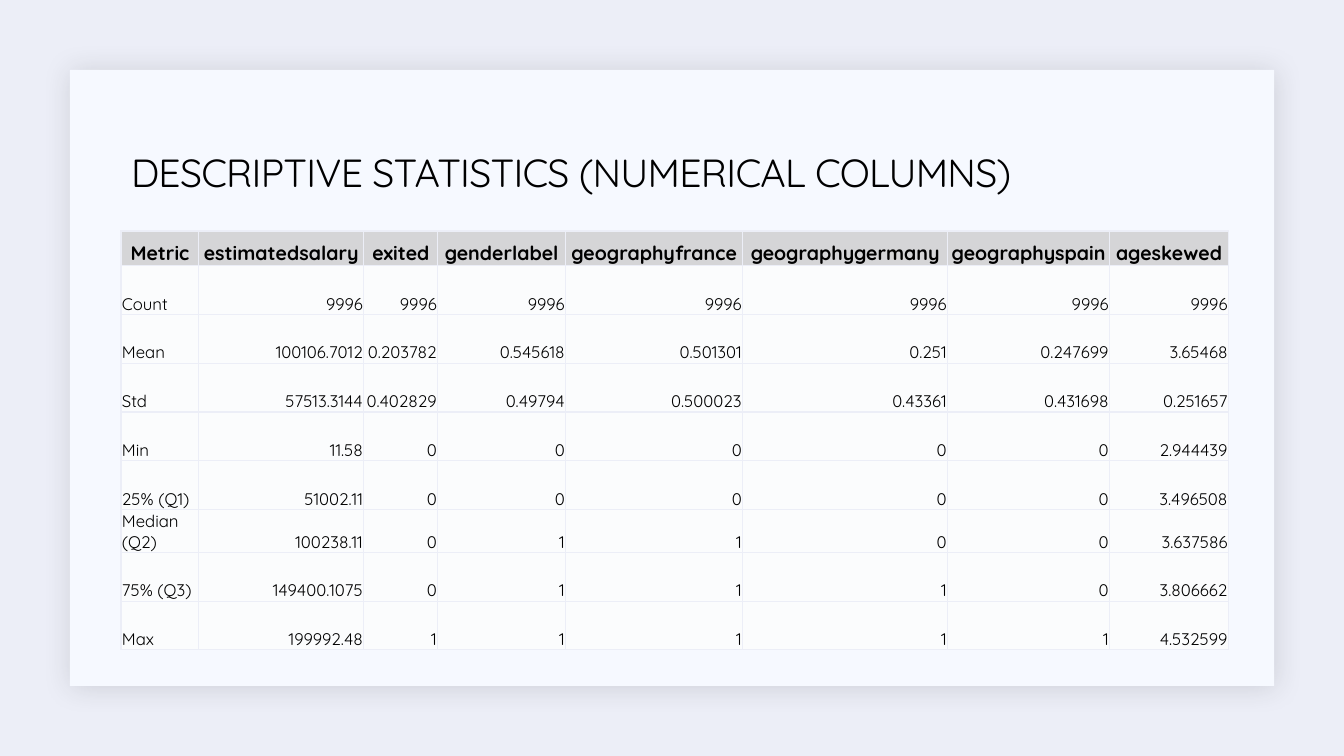
from lxml.etree import SubElement
from pptx import Presentation
from pptx.dml.color import RGBColor
from pptx.enum.shapes import MSO_SHAPE
from pptx.enum.text import MSO_ANCHOR, MSO_AUTO_SIZE, PP_ALIGN
from pptx.oxml import parse_xml
from pptx.oxml.ns import nsdecls, qn
from pptx.util import Inches, Pt

HEAD = ["Metric", "estimatedsalary", "exited", "genderlabel", "geographyfrance",
        "geographygermany", "geographyspain", "ageskewed"]
BODY = [
    ["Count"] + ["9996"] * 7,
    ["Mean", "100106.7012", "0.203782", "0.545618", "0.501301", "0.251", "0.247699", "3.65468"],
    ["Std", "57513.3144", "0.402829", "0.49794", "0.500023", "0.43361", "0.431698", "0.251657"],
    ["Min", "11.58", "0", "0", "0", "0", "0", "2.944439"],
    ["25% (Q1)", "51002.11", "0", "0", "0", "0", "0", "3.496508"],
    ["Median (Q2)", "100238.11", "0", "1", "1", "0", "0", "3.637586"],
    ["75% (Q3)", "149400.1075", "0", "1", "1", "1", "0", "3.806662"],
    ["Max", "199992.48", "1", "1", "1", "1", "1", "4.532599"],
]
COLS = [5.8, 12.28, 5.5, 9.52, 13.17, 15.25, 12.05, 8.85]
ROWS = [4.6] + [6.45] * 5 + [4.6] + [6.45] * 2


def color(code):
    return RGBColor.from_string(code)


def write(frame, text, size=12, bold=False, align=PP_ALIGN.LEFT, ink="000000",
          font="Quicksand", lead=None, track=None):
    para = frame.paragraphs[0]
    para.alignment = align
    if lead:
        para.line_spacing = lead
    run = para.add_run()
    run.text = text
    run.font.name = font
    run.font.size = Pt(size)
    run.font.bold = bold
    run.font.color.rgb = color(ink)
    if track:
        run.font._element.set("spc", str(int(track * 100)))


class Deck:
    back, card, line = "ECEEF7", "F6F9FF", "ECEEF7"
    top, cell = "D5D5D7", "FBFCFD"

    def __init__(self):
        self.prs = Presentation()
        self.prs.slide_width = Inches(13.33)
        self.prs.slide_height = Inches(7.5)
        self.slide = self.prs.slides.add_slide(self.prs.slide_layouts[5])
        fill = self.slide.background.fill
        fill.solid()
        fill.fore_color.rgb = color(self.back)

    def wide(self, share):
        return int(self.prs.slide_width * share / 100)

    def high(self, share):
        return int(self.prs.slide_height * share / 100)

    def box(self, left, top, width, height):
        return self.wide(left), self.high(top), self.wide(width), self.high(height)

    def panel(self, *area):
        shape = self.slide.shapes.add_shape(MSO_SHAPE.RECTANGLE, *self.box(*area))
        shape.fill.solid()
        shape.fill.fore_color.rgb = color(self.card)
        shape.line.fill.background()
        shape.shadow.inherit = False
        glow = shape.element.spPr.find(qn("a:effectLst"))
        glow.append(parse_xml(
            f'<a:outerShdw {nsdecls("a")} blurRad="{Pt(20)}" dist="{Pt(2)}" dir="2700000" '
            'algn="ctr" rotWithShape="0"><a:srgbClr val="1F2125"><a:alpha val="15000"/>'
            '</a:srgbClr></a:outerShdw>'))
        shape.element.getparent().insert(2, shape.element)

    def title(self, text, *area):
        shape = self.slide.shapes.title
        shape.left, shape.top, shape.width, shape.height = self.box(*area)
        frame = shape.text_frame
        frame.word_wrap = True
        frame.auto_size = MSO_AUTO_SIZE.NONE
        frame.vertical_anchor = MSO_ANCHOR.MIDDLE
        write(frame, text, size=28, lead=0.9, track=-0.5)

    def edge(self, cell):
        props = cell._tc.get_or_add_tcPr()
        for spot, side in enumerate(("lnL", "lnR", "lnT", "lnB")):
            line = SubElement(props, qn(f"a:{side}"), w=str(Pt(1)))
            fill = SubElement(line, qn("a:solidFill"))
            SubElement(fill, qn("a:srgbClr"), val=self.line)
            props.insert(spot, line)

    def table(self, left, top, cols, rows, data):
        area = self.box(left, top, sum(cols), sum(rows))
        grid = self.slide.shapes.add_table(len(rows), len(cols), *area).table
        grid.first_row = grid.horz_banding = False
        for col, share in zip(grid.columns, cols):
            col.width = self.wide(share)
        for row, share in zip(grid.rows, rows):
            row.height = self.high(share)
        for i, line in enumerate(data):
            for j, text in enumerate(line):
                cell = grid.cell(i, j)
                cell.margin_left = cell.margin_right = cell.margin_top = Inches(0.01)
                cell.margin_bottom = 0
                cell.vertical_anchor = MSO_ANCHOR.BOTTOM
                cell.fill.solid()
                cell.fill.fore_color.rgb = color(self.cell if i else self.top)
                self.edge(cell)
                if i == 0:
                    write(cell.text_frame, text, size=14, bold=True, align=PP_ALIGN.CENTER)
                else:
                    write(cell.text_frame, text, align=PP_ALIGN.RIGHT if j else PP_ALIGN.LEFT)


def main():
    deck = Deck()
    deck.panel(5.2, 9.25, 89.6, 81.5)
    deck.title("DESCRIPTIVE STATISTICS (NUMERICAL COLUMNS)", 9, 13.73, 82.5, 18.8)
    deck.table(9, 30.55, COLS, ROWS, [HEAD] + BODY)
    deck.prs.save("out.pptx")


if __name__ == "__main__":
    main()
